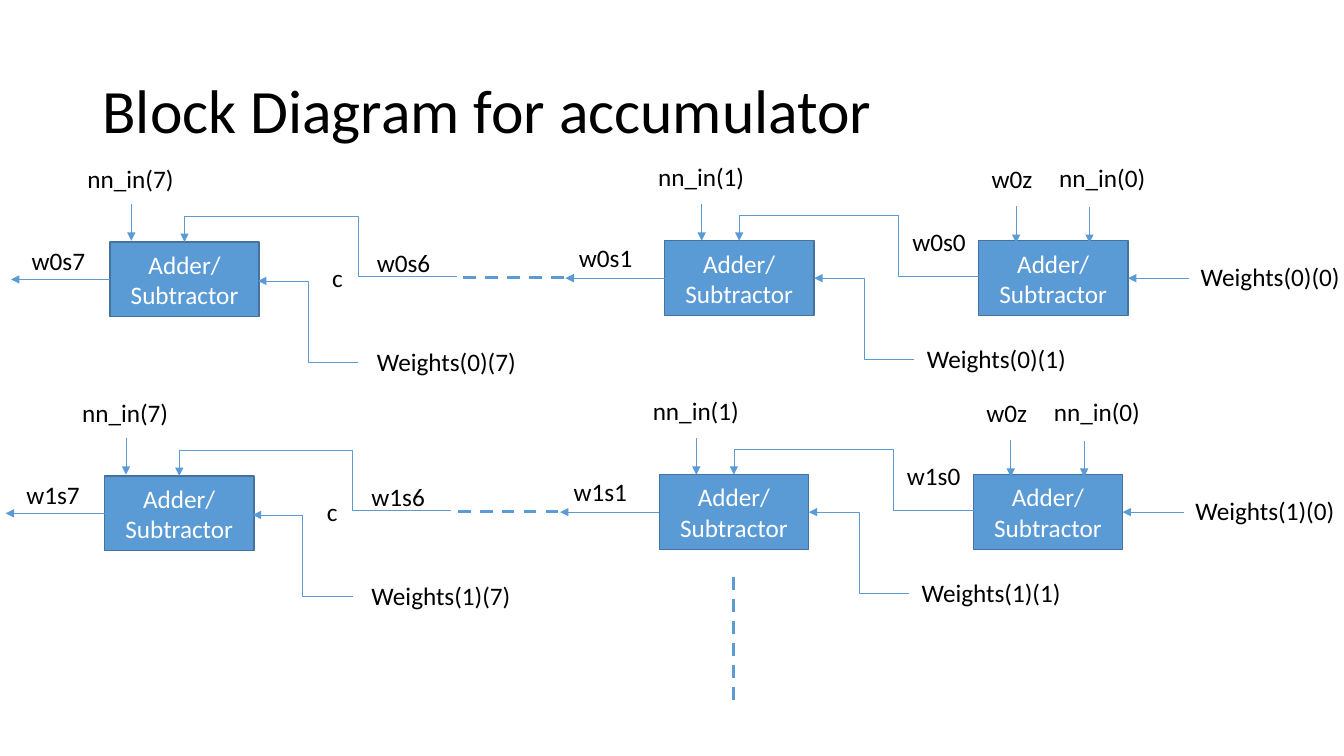
"""Build the accumulator block diagram slide."""
from dataclasses import dataclass

from lxml import etree
from pptx import Presentation
from pptx.dml.color import RGBColor
from pptx.enum.dml import MSO_LINE
from pptx.enum.shapes import MSO_CONNECTOR, MSO_SHAPE
from pptx.enum.text import MSO_ANCHOR, MSO_AUTO_SIZE, PP_ALIGN
from pptx.oxml.ns import qn
from pptx.util import Pt

STRAIGHT, ELBOW = MSO_CONNECTOR.STRAIGHT, MSO_CONNECTOR.ELBOW
RECTANGLE = MSO_SHAPE.RECTANGLE
DASH = MSO_LINE.DASH
MIDDLE = MSO_ANCHOR.MIDDLE
LEFT, CENTER = PP_ALIGN.LEFT, PP_ALIGN.CENTER
FIT_SHAPE = MSO_AUTO_SIZE.SHAPE_TO_FIT_TEXT
TITLE_ONLY = 5


@dataclass(frozen=True)
class Theme:
    """Colours, font and sizes of the slide."""
    font: str = "Calibri"
    title_size: float = 44
    body_size: float = 18
    text: RGBColor = RGBColor(0, 0, 0)
    block_text: RGBColor = RGBColor(255, 255, 255)
    block: RGBColor = RGBColor(0x5B, 0x9B, 0xD5)
    block_border: RGBColor = RGBColor(0x43, 0x73, 0x9E)
    wire_width: float = 0.5
    dash_width: float = 2.25


THEME = Theme()
BLOCK_WIDTH, BLOCK_HEIGHT = 106.7, 53.3
LABEL_HEIGHT = 29
INPUT_WIDTH, SUM_WIDTH, WEIGHT_WIDTH = 77, 53.3, 115.2
ROW_SHIFT_X, ROW_SHIFT_Y = -3.8, 167.1


def style_text(paragraph, size, color, alignment=LEFT):
    """Format one paragraph."""
    paragraph.alignment = alignment
    paragraph.font.name = THEME.font
    paragraph.font.size = Pt(size)
    paragraph.font.color.rgb = color


def add_title(slide, wording):
    """Place and format the title placeholder."""
    title = slide.shapes.title
    title.left, title.top, title.width, title.height = Pt(66), Pt(28.75), Pt(828), Pt(104.4)
    title.text_frame.text = wording
    title.text_frame.vertical_anchor = MIDDLE
    heading = title.text_frame.paragraphs[0]
    heading.line_spacing = 0.9
    style_text(heading, THEME.title_size, THEME.text)


def add_label(slide, wording, x, y, width):
    """Add a one-line signal label."""
    label = slide.shapes.add_textbox(Pt(x), Pt(y), Pt(width), Pt(LABEL_HEIGHT))
    frame = label.text_frame
    frame.text = wording
    frame.word_wrap = False
    frame.auto_size = FIT_SHAPE
    style_text(frame.paragraphs[0], THEME.body_size, THEME.text)


def add_block(slide, x, y):
    """Add one adder/subtractor block."""
    block = slide.shapes.add_shape(RECTANGLE, Pt(x), Pt(y), Pt(BLOCK_WIDTH), Pt(BLOCK_HEIGHT))
    block.shadow.inherit = False
    block.fill.solid()
    block.fill.fore_color.rgb = THEME.block
    block.line.color.rgb = THEME.block_border
    block.line.width = Pt(1)
    frame = block.text_frame
    frame.text = "Adder/Subtractor"
    frame.word_wrap = True
    frame.vertical_anchor = MIDDLE
    style_text(frame.paragraphs[0], THEME.body_size, THEME.block_text, CENTER)


def add_wire(slide, kind, start, end, width):
    """Add a plain connector without shadow."""
    wire = slide.shapes.add_connector(kind, *(Pt(value) for value in (*start, *end)))
    wire.line.color.rgb = THEME.block
    wire.line.width = Pt(width)
    etree.SubElement(wire._element.spPr, qn("a:effectLst"))
    return wire


def add_arrowhead(wire):
    """Put a triangle at the end of a wire."""
    wire.line._get_or_add_ln().append(etree.Element(qn("a:tailEnd"), type="triangle"))


def add_arrow(slide, start, end):
    """Add a straight arrow."""
    add_arrowhead(add_wire(slide, STRAIGHT, start, end, THEME.wire_width))


def add_dashes(slide, start, end):
    """Add a dashed continuation line."""
    add_wire(slide, STRAIGHT, start, end, THEME.dash_width).line.dash_style = DASH


def add_bent_arrow(slide, start, end, bends):
    """Add an elbow arrow running up and left, with bends as shares of its size."""
    wire = add_wire(slide, ELBOW, end, start, THEME.wire_width)
    properties = wire._element.spPr
    properties.find(qn("a:xfrm")).set("rot", "10800000")
    geometry = properties.find(qn("a:prstGeom"))
    geometry.set("prst", f"bentConnector{len(bends) + 2}")
    adjustments = geometry.find(qn("a:avLst"))
    for number, share in enumerate(bends, 1):
        etree.SubElement(adjustments, qn("a:gd"), name=f"adj{number}",
                         fmla=f"val {round(share * 100000)}")
    add_arrowhead(wire)


def add_row(slide, row):
    """Draw one chain of adders with its signals."""
    dx, dy = row * ROW_SHIFT_X, row * ROW_SHIFT_Y

    def at(x, y):
        """Shift a point to this row."""
        return x + dx, y + dy

    for x, y in ((699, 172), (474.7, 172), (78.5, 173)):
        add_block(slide, *at(x, y))

    for x, top, tip in ((725.8, 147, 173.5), (778.2, 147.8, 173.5),
                        (501.2, 146, 172), (93.8, 146, 172)):
        add_arrow(slide, at(x, top), at(x, tip))

    for x, tip, y in ((849.6, 805.7, 198.7), (474.7, 403.9, 198.7), (78.5, 7.9, 199.6)):
        add_arrow(slide, at(x, y), at(tip, y))

    for start, end, bends in (
            ((702, 197.3), (528, 172), (0.346, 1.712)),
            ((326.2, 197.3), (131.8, 172.8), (0.363, 1.742)),
            ((653.2, 256.9), (581.6, 198.7), (0.5,)),
            ((255.8, 258.7), (184.3, 200.7), (0.5,))):
        add_bent_arrow(slide, at(*start), at(*end), bends)

    add_dashes(slide, at(331, 198.1), at(403.4, 198.1))

    labels = (
        ("w0z", 701.3, 113, 43.9),
        ("nn_in(0)", 749.5, 112.5, INPUT_WIDTH),
        ("nn_in(1)", 463, 111.8, 79.2),
        ("nn_in(7)", 55.4, 113.2, INPUT_WIDTH),
        ("c", 230.2, 183.8, 22.3),
        (f"w{row}s0", 644.6, 158.4, SUM_WIDTH),
        (f"w{row}s1", 406.5, 169.4, SUM_WIDTH),
        (f"w{row}s6", 262.1, 172.8, SUM_WIDTH),
        (f"w{row}s7", 15.6, 171.4, SUM_WIDTH),
        (f"Weights({row})(0)", 850.6, 182.9, WEIGHT_WIDTH),
        (f"Weights({row})(1)", 655, 242, WEIGHT_WIDTH),
        (f"Weights({row})(7)", 262.1, 244.1, WEIGHT_WIDTH),
    )
    for wording, x, y, width in labels:
        add_label(slide, wording, *at(x, y), width)


def main():
    """Build and save the slide."""
    deck = Presentation()
    deck.slide_width, deck.slide_height = Pt(960), Pt(540)
    slide = deck.slides.add_slide(deck.slide_layouts[TITLE_ONLY])
    add_title(slide, "Block Diagram for accumulator")
    for row in range(2):
        add_row(slide, row)
    add_dashes(slide, (524.2, 499.7), (524.2, 411.1))
    deck.save("out.pptx")


if __name__ == "__main__":
    main()
